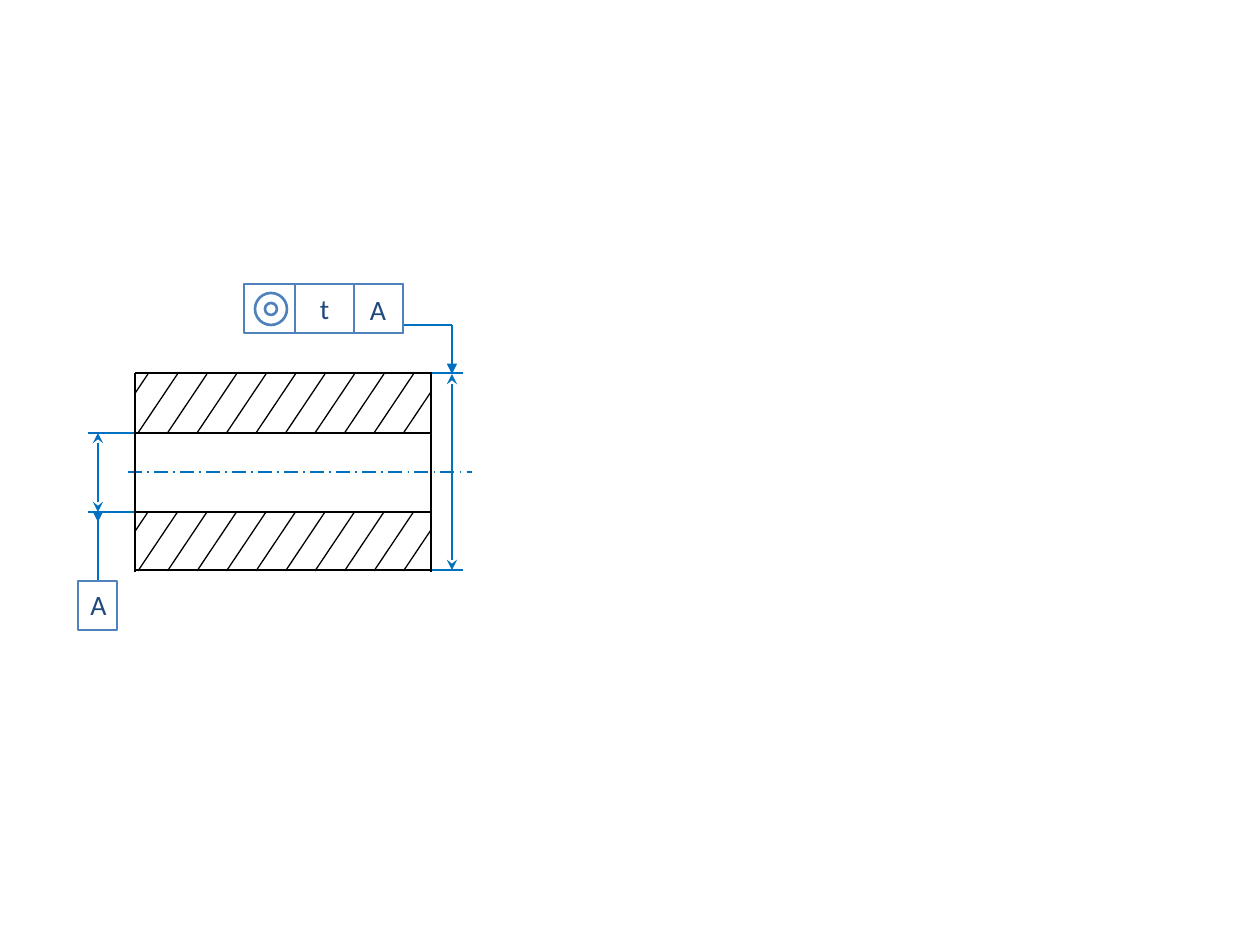
from pptx import Presentation
from pptx.dml.color import RGBColor
from pptx.enum.dml import MSO_LINE as Dash
from pptx.enum.shapes import MSO_CONNECTOR as Conn, MSO_SHAPE as Kind
from pptx.enum.text import MSO_AUTO_SIZE as Auto, PP_ALIGN as Align
from pptx.oxml.ns import qn
from pptx.util import Emu, Pt
from lxml.etree import SubElement

PX = 914400 // 126
BLUE, EDGE, NAVY, BLACK = "0070C0", "4F81BD", "1F497D", "000000"

# Section of the sleeve
LEFT, RIGHT, TOP, BASE = 135, 431, 373, 570
BORE_TOP, BORE_BASE = 433, 512
DIM_IN, DIM_OUT = 98, 452
STEALTH = {"head": "stealth", "tail": "stealth"}
TIP = {"tail": "triangle"}

HATCH = {"first": 148, "gap": 29.5, "count": 11, "run": 39.5, "rise": 59}
BANDS = [TOP + 1, BORE_BASE]

# x1, y1, x2, y2, arrowheads
BLUE_LINES = [
    (88, BORE_BASE, 137, BORE_BASE, {}),
    (88, BORE_TOP, 137, BORE_TOP, {}),
    (413, BASE, 463, BASE, {}),
    (413, TOP, 463, TOP, {}),
    (DIM_IN, BORE_BASE, DIM_IN, 522, TIP),
    (DIM_IN, 581, DIM_IN, BORE_BASE, {}),
    (DIM_OUT, 325, DIM_OUT, TOP + 1, TIP),
    (DIM_OUT, 325, 403, 325, {}),
    (DIM_OUT, BASE, DIM_OUT, TOP + 1, STEALTH),
    (DIM_IN, BORE_BASE, DIM_IN, BORE_TOP, STEALTH),
]
AXIS = (128, 472, 472, 472)
OUTLINE = [
    (LEFT, 572, LEFT, TOP),
    (LEFT, TOP, 432, TOP),
    (LEFT - 1, BASE, RIGHT, BASE),
    (RIGHT, 572, RIGHT, TOP),
    (RIGHT, BORE_TOP, LEFT + 1, BORE_TOP),
    (RIGHT, BORE_BASE, LEFT + 1, BORE_BASE),
]

# left, top, width, height
FRAME = [(244, 284, 110, 49), (295, 284, 108, 49), (354, 284, 49, 49)]
LABELS = [("t", 295, 285, 59, 47), ("A", 354, 286, 48, 47)]
DATUM_BOX = (78, 581, 39, 49)
DATUM_TEXT = ("A", 78, 581, 39, 47)
RINGS = [(271, 309, 6), (271, 309, 16)]


def emu(*sizes):
    """Turn picture pixels into EMU."""
    return [Emu(round(size * PX)) for size in sizes]


def ink(code):
    """Turn a hex string into a colour."""
    return RGBColor.from_string(code)


def draw(x1, y1, x2, y2, color, width, ends=None, dash=None):
    """Add a straight line with optional arrowheads."""
    wire = slide.shapes.add_connector(Conn.STRAIGHT, *emu(x1, y1, x2, y2))
    line = wire.line
    line.color.rgb = ink(color)
    for name, value in {"width": Pt(width), "dash_style": dash}.items():
        setattr(line, name, value)
    for end, head in (ends or {}).items():
        SubElement(line._get_or_add_ln(), qn(f"a:{end}End"), type=head)
    SubElement(wire._element.spPr, qn("a:effectLst"))


def shape(home, kind, box, width):
    """Add an unfilled outline shape."""
    item = home.add_shape(kind, *emu(*box))
    item.shadow.inherit = False
    item.fill.background()
    item.line.color.rgb = ink(EDGE)
    item.line.width = Pt(width)


def label(home, text, *box):
    """Add a centred letter."""
    frame = home.add_textbox(*emu(*box)).text_frame
    for name, value in {"word_wrap": True, "auto_size": Auto.SHAPE_TO_FIT_TEXT}.items():
        setattr(frame, name, value)
    para = frame.paragraphs[0]
    para.alignment = Align.CENTER
    run = para.add_run()
    run.text = text
    for name, value in {"name": "Calibri", "size": Pt(16)}.items():
        setattr(run.font, name, value)
    run.font.color.rgb = ink(NAVY)


def hatch(top):
    """Fill a band with slanted lines, cut off at the side walls."""
    run, rise = HATCH["run"], HATCH["rise"]
    for i in range(HATCH["count"]):
        start = HATCH["first"] + i * HATCH["gap"]
        x1, x2 = min(start, RIGHT), max(start - run, LEFT)
        y1, y2 = (top + (start - x) * rise / run for x in (x1, x2))
        draw(x1, y1, x2, y2, BLACK, 0.75)


deck = Presentation()
deck.slide_width, deck.slide_height = emu(1260, 945)
slide = deck.slides.add_slide(deck.slide_layouts[6])

for *ends, heads in BLUE_LINES:
    draw(*ends, BLUE, 1, heads)
draw(*AXIS, BLUE, 1, dash=Dash.LONG_DASH_DOT)
for ends in OUTLINE:
    draw(*ends, BLACK, 1.5)
for top in BANDS:
    hatch(top)

datum = slide.shapes.add_group_shape().shapes
label(datum, *DATUM_TEXT)
shape(datum, Kind.RECTANGLE, DATUM_BOX, 1)

for box in FRAME:
    shape(slide.shapes, Kind.RECTANGLE, box, 1)
for item in LABELS:
    label(slide.shapes, *item)
symbol = slide.shapes.add_group_shape().shapes
for x, y, r in RINGS:
    shape(symbol, Kind.OVAL, (x - r, y - r, 2 * r, 2 * r), 1.5)

deck.save("out.pptx")
